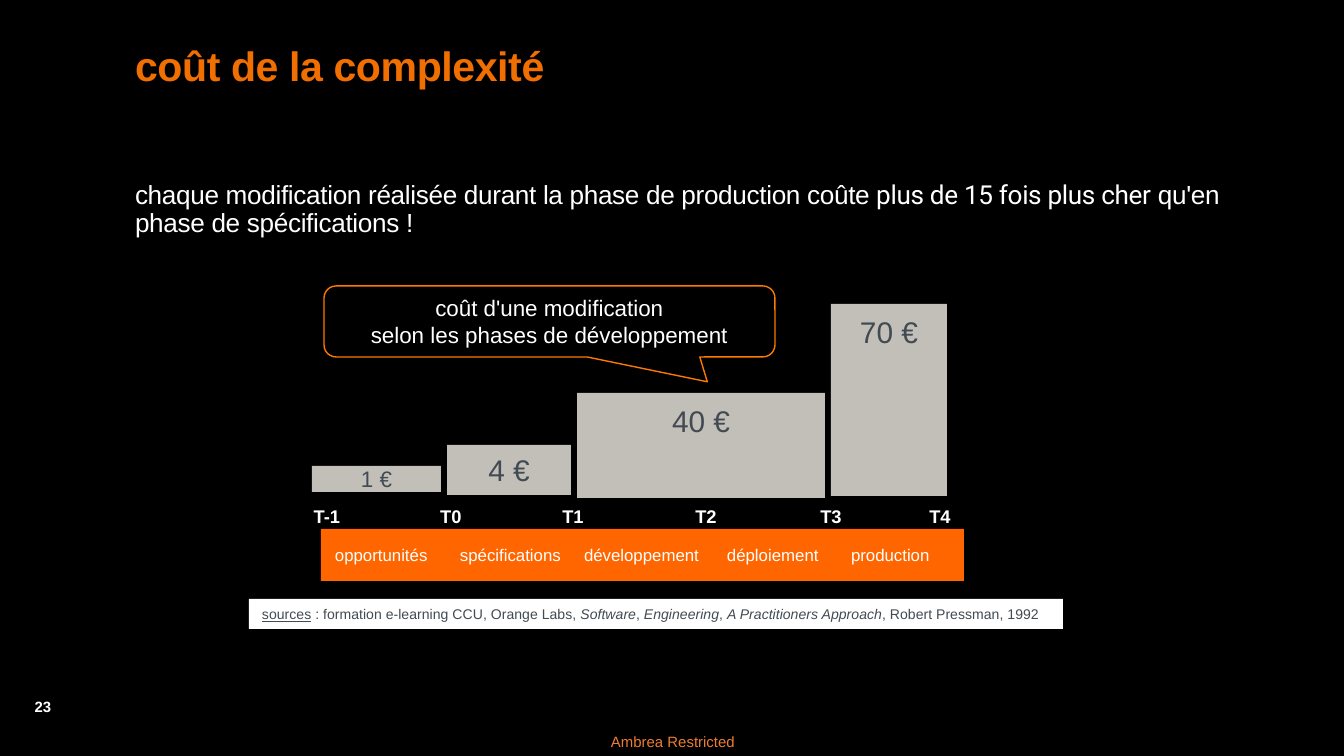
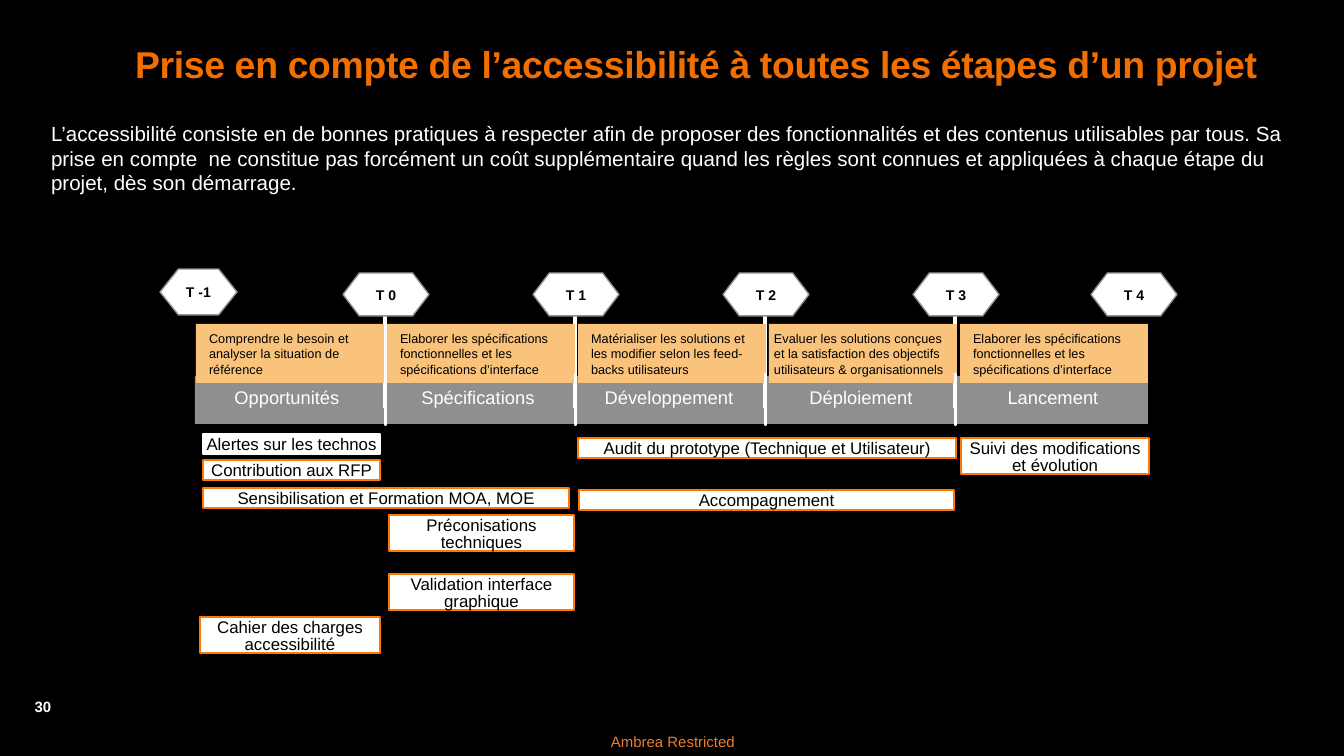
"""Build two slides on the cost of complexity and on accessibility across a project."""
from lxml.etree import SubElement
from pptx import Presentation
from pptx.dml.color import RGBColor
from pptx.enum.shapes import MSO_CONNECTOR, MSO_SHAPE
from pptx.enum.text import MSO_ANCHOR, MSO_AUTO_SIZE, PP_ALIGN
from pptx.oxml.ns import qn
from pptx.util import Emu, Pt

BLACK = RGBColor(0x00, 0x00, 0x00)
WHITE = RGBColor(0xFF, 0xFF, 0xFF)
TITLE_ORANGE = RGBColor(0xF1, 0x6E, 0x00)
FOOTER_ORANGE = RGBColor(0xED, 0x7D, 0x31)
OUTLINE_ORANGE = RGBColor(0xFF, 0x79, 0x00)
BAND_ORANGE = RGBColor(0xFF, 0x66, 0x00)
STEP_ORANGE = RGBColor(0xF9, 0xC3, 0x7B)
BAR_GREY = RGBColor(0xC2, 0xBF, 0xB8)
BAND_GREY = RGBColor(0x8F, 0x8F, 0x8F)
TEXT_GREY = RGBColor(0x42, 0x4A, 0x52)

FOOTER = "Ambrea Restricted"

COST_TITLE = "coût de la complexité"
COST_MESSAGE = [
    ("chaque modification réalisée durant la phase de production coûte ", {}),
    ("plus de 15 fois plus cher", {"name": "Roboto"}),
    (" qu'en phase de spécifications !", {}),
]
COST_CALLOUT = "coût d'une modification\nselon les phases de développement"
COST_BARS = [
    ("1 €", (312, 466, 129, 26), 12, MSO_ANCHOR.MIDDLE),
    ("4 €", (447, 445, 124, 50), 16, MSO_ANCHOR.MIDDLE),
    ("40 €", (577, 393, 248, 105), 16, MSO_ANCHOR.TOP),
    ("70 €", (831, 304, 116, 192), 16, MSO_ANCHOR.TOP),
]
COST_MILESTONES = [("T-1", 297), ("T0", 421), ("T1", 543),
                   ("T2", 676), ("T3", 801), ("T4", 910)]
COST_PHASES = [("opportunités", 335), ("spécifications", 460), ("développement", 584),
               ("déploiement", 727), ("production", 851)]
ITALIC = {"italic": True}
COST_SOURCES = [
    ("sources", {"underline": True}),
    (" : formation e-learning CCU, Orange Labs, ", {}),
    ("Software", ITALIC), (", ", {}),
    ("Engineering", ITALIC), (", ", {}),
    ("A Practitioners Approach", ITALIC),
    (", Robert Pressman, 1992", {}),
]

PROJECT_TITLE = "Prise en compte de l’accessibilité à toutes les étapes d’un projet"
PROJECT_INTRO = (
    "L’accessibilité consiste en de bonnes pratiques à respecter afin de proposer des "
    "fonctionnalités et des contenus utilisables par tous. Sa prise en compte  ne constitue "
    "pas forcément un coût supplémentaire quand les règles sont connues et appliquées à "
    "chaque étape du projet, dès son démarrage."
)
SPECIFY = "Elaborer les spécifications fonctionnelles et les spécifications d’interface"
PROJECT_PHASES = [
    ("Opportunités", 287, "Comprendre le besoin et analyser la situation de référence", 13),
    ("Spécifications", 478, SPECIFY, 13),
    ("Développement", 669,
     "Matérialiser les solutions et les modifier selon les feed-backs utilisateurs", 13),
    ("Déploiement", 861, "Evaluer les solutions conçues et la satisfaction des objectifs "
     "utilisateurs & organisationnels", 5),
    ("Lancement", 1053, SPECIFY, 13),
]
PROJECT_GATES = [
    ("T -1", (160, 269, 77, 46), 0.4),
    *((f"T {i}", (343 + 190 * i, 273, 86, 43), 0.38) for i in range(4)),
    ("T 4", (1091, 273, 86, 43), 0.38),
]
PROJECT_TASKS = [
    ("Alertes sur les technos", 203, 434, 177, 1, WHITE),
    ("Contribution aux RFP", 203, 460, 177, 1, OUTLINE_ORANGE),
    ("Sensibilisation et Formation MOA, MOE", 203, 488, 366, 1, OUTLINE_ORANGE),
    ("Préconisations techniques", 389, 515, 185, 2, OUTLINE_ORANGE),
    ("Validation interface graphique", 389, 574, 185, 2, OUTLINE_ORANGE),
    ("Audit du prototype (Technique et Utilisateur)", 578, 438, 378, 1, OUTLINE_ORANGE),
    ("Accompagnement", 579, 490, 375, 1, OUTLINE_ORANGE),
    ("Suivi des modifications et évolution", 961, 438, 188, 2, OUTLINE_ORANGE),
    ("Cahier des charges accessibilité", 200, 617, 180, 2, OUTLINE_ORANGE),
]
TASK_HEIGHTS = {1: 20, 2: 36}

SLIDE_W, SLIDE_H = 1344, 756
EMU_PER_PX = 9144000 / SLIDE_W
TITLE_AT = (122, 39, 1185, 109)
MESSAGE_AT = (122, 175, 1185, 489)
INSETS = (13, 7, 13, 7)
NO_INSETS = (0, 0, 0, 0)


def px(length):
    return Emu(round(length * EMU_PER_PX))


def place(at):
    return [px(length) for length in at]


def assign(target, values):
    for attribute, value in values.items():
        setattr(target, attribute, value)


def write(frame, content, size, color, bold=False, align=PP_ALIGN.CENTER,
          anchor=MSO_ANCHOR.MIDDLE, insets=INSETS, wrap=True, spacing=1.0,
          tracking=None, plain=False):
    left, top, right, bottom = place(insets)
    assign(frame, {"auto_size": MSO_AUTO_SIZE.NONE, "word_wrap": wrap,
                   "vertical_anchor": anchor, "margin_left": left, "margin_top": top,
                   "margin_right": right, "margin_bottom": bottom})
    paragraph = frame.paragraphs[0]
    assign(paragraph, {"alignment": align, "line_spacing": spacing, "space_before": Pt(0)})
    if plain:
        properties = paragraph._p.get_or_add_pPr()
        properties.set("marL", "0")
        properties.set("indent", "0")
        SubElement(properties, qn("a:buNone"))
    pieces = [(content, {})] if isinstance(content, str) else content
    for text, changes in pieces:
        for index, line in enumerate(text.split("\n")):
            if index:
                paragraph.add_line_break()
            run = paragraph.add_run()
            run.text = line
            assign(run.font, {"name": "Arial", "size": Pt(size), "bold": bold, **changes})
            run.font.color.rgb = color
            if tracking:
                run._r.get_or_add_rPr().set("spc", str(tracking))


def add_label(slide, at, content, size, color, **style):
    label = slide.shapes.add_textbox(*place(at))
    write(label.text_frame, content, size, color, **style)


def add_block(slide, preset, at, fill, outline=None):
    block = slide.shapes.add_shape(preset, *place(at))
    block.shadow.inherit = False
    block.fill.solid()
    block.fill.fore_color.rgb = fill
    if outline is None:
        block.line.fill.background()
    else:
        block.line.color.rgb = outline
        block.line.width = Pt(0.75)
    return block


def add_separator(slide, x, top, bottom):
    separator = slide.shapes.add_connector(
        MSO_CONNECTOR.STRAIGHT, *place((x, top, x, bottom)))
    separator.line.color.rgb = WHITE
    separator.line.width = Pt(2)
    SubElement(separator._element.spPr, qn("a:effectLst"))


def fill_placeholder(placeholder, at, content, size, color, bold=False):
    bounds = zip(("left", "top", "width", "height"), place(at))
    assign(placeholder, dict(bounds))
    write(placeholder.text_frame, content, size, color, bold=bold, align=PP_ALIGN.LEFT,
          anchor=MSO_ANCHOR.TOP, spacing=0.9, tracking=-20, plain=True)


def start_slide(prs, layout, title, size, number):
    slide = prs.slides.add_slide(prs.slide_layouts[layout])
    add_label(slide, (589, 726, 168, 31), FOOTER, 8, FOOTER_ORANGE, insets=NO_INSETS)
    add_label(slide, (13, 691, 60, 32), str(number), 8, WHITE, bold=True, wrap=False)
    fill_placeholder(slide.shapes.title, TITLE_AT, title, size, TITLE_ORANGE, bold=True)
    return slide


def build_cost(prs):
    slide = start_slide(prs, 1, COST_TITLE, 22, 23)
    fill_placeholder(slide.placeholders[1], MESSAGE_AT, COST_MESSAGE, 14, WHITE)

    callout = add_block(slide, MSO_SHAPE.ROUNDED_RECTANGULAR_CALLOUT, (324, 286, 451, 71),
                        BLACK, OUTLINE_ORANGE)
    for index, value in enumerate((0.35, 0.85, 0.17)):
        callout.adjustments[index] = value
    write(callout.text_frame, COST_CALLOUT, 12, WHITE, insets=(9, 5, 9, 5))

    for price, at, size, anchor in COST_BARS:
        bar = add_block(slide, MSO_SHAPE.RECTANGLE, at, BAR_GREY)
        top = 10 if anchor == MSO_ANCHOR.TOP else 0
        write(bar.text_frame, price, size, TEXT_GREY, anchor=anchor, insets=(13, top, 13, 0))

    sources = add_block(slide, MSO_SHAPE.RECTANGLE, (249, 599, 814, 30), WHITE)
    write(sources.text_frame, COST_SOURCES, 7.5, TEXT_GREY, align=PP_ALIGN.LEFT)

    add_block(slide, MSO_SHAPE.RECTANGLE, (321, 529, 643, 52), BAND_ORANGE)
    for phase, x in COST_PHASES:
        add_label(slide, (x, 545, 115, 20), phase, 9, WHITE, align=PP_ALIGN.LEFT,
                  insets=NO_INSETS, wrap=False)
    for milestone, x in COST_MILESTONES:
        add_label(slide, (x, 498, 60, 36), milestone, 9.8, WHITE, bold=True)


def build_project(prs):
    slide = start_slide(prs, 5, PROJECT_TITLE, 20, 30)
    add_label(slide, (38, 101, 1281, 132), PROJECT_INTRO, 11, WHITE, align=PP_ALIGN.LEFT,
              anchor=MSO_ANCHOR.TOP, insets=(13, 20, 13, 7))

    add_block(slide, MSO_SHAPE.RECTANGLE, (195, 376, 953, 48), BAND_GREY)
    separators = [385 + 190 * i for i in range(len(PROJECT_PHASES) - 1)]
    for x in separators:
        add_separator(slide, x, 292, 408)

    for gate, at, slant in PROJECT_GATES:
        hexagon = add_block(slide, MSO_SHAPE.HEXAGON, at, WHITE, BAND_GREY)
        hexagon.adjustments[0] = slant
        write(hexagon.text_frame, gate, 7.5, BLACK, bold=True, insets=NO_INSETS, wrap=False)

    for task, x, y, width, lines, outline in PROJECT_TASKS:
        card = add_block(slide, MSO_SHAPE.RECTANGLE, (x, y, width, TASK_HEIGHTS[lines]),
                         WHITE, outline)
        write(card.text_frame, task, 9, BLACK, anchor=MSO_ANCHOR.TOP,
              insets=(1, 4, 1, 0), spacing=0.8)

    for index, (phase, center, goal, inset) in enumerate(PROJECT_PHASES):
        add_label(slide, (center - 90, 380, 180, 35), phase, 9.8, WHITE)
        step = add_block(slide, MSO_SHAPE.RECTANGLE, (196 + 191 * index, 324, 188, 59),
                         STEP_ORANGE)
        write(step.text_frame, goal, 6.8, BLACK, align=PP_ALIGN.LEFT,
              anchor=MSO_ANCHOR.TOP, insets=(inset, 7, inset, 7))

    for x in separators:
        add_block(slide, MSO_SHAPE.RECTANGLE, (x, 374, 1, 51), WHITE, WHITE)


def main():
    prs = Presentation()
    prs.slide_width, prs.slide_height = px(SLIDE_W), px(SLIDE_H)
    background = prs.slide_master.background.fill
    background.solid()
    background.fore_color.rgb = BLACK
    build_cost(prs)
    build_project(prs)
    prs.save("out.pptx")


if __name__ == "__main__":
    main()
